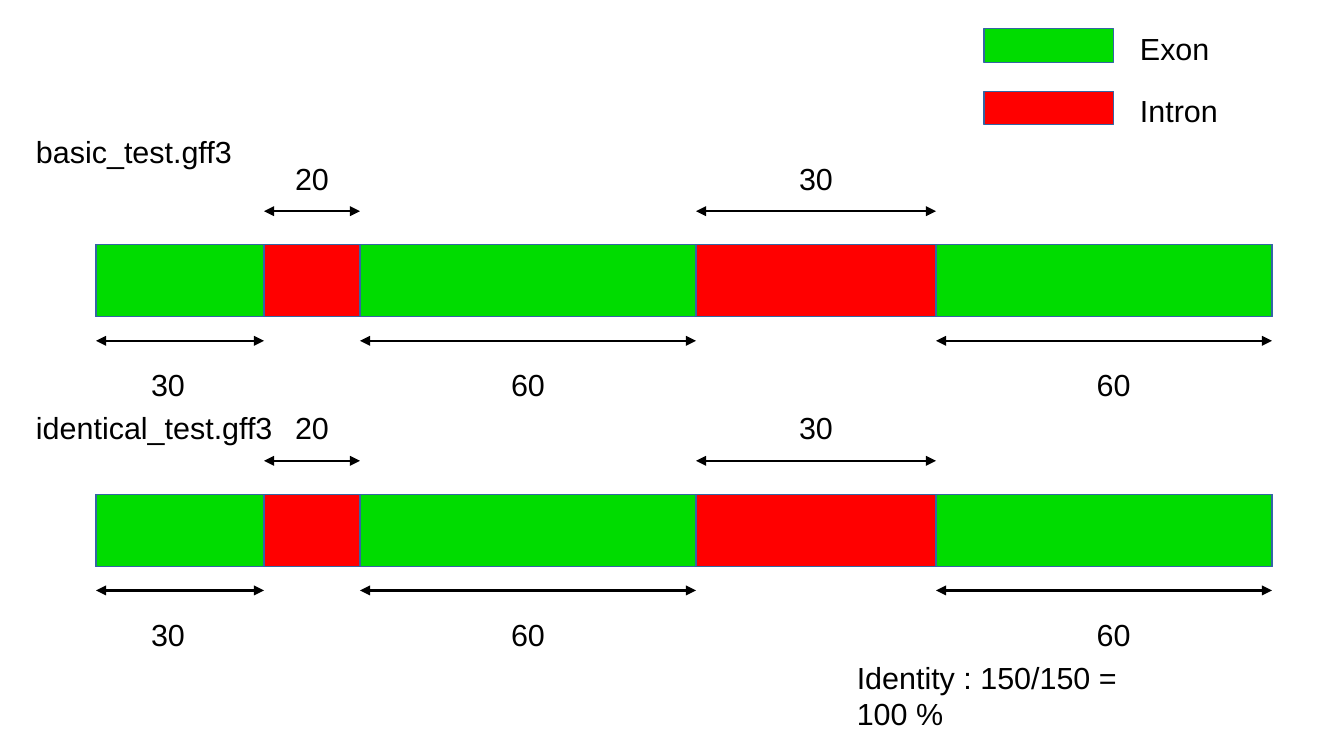
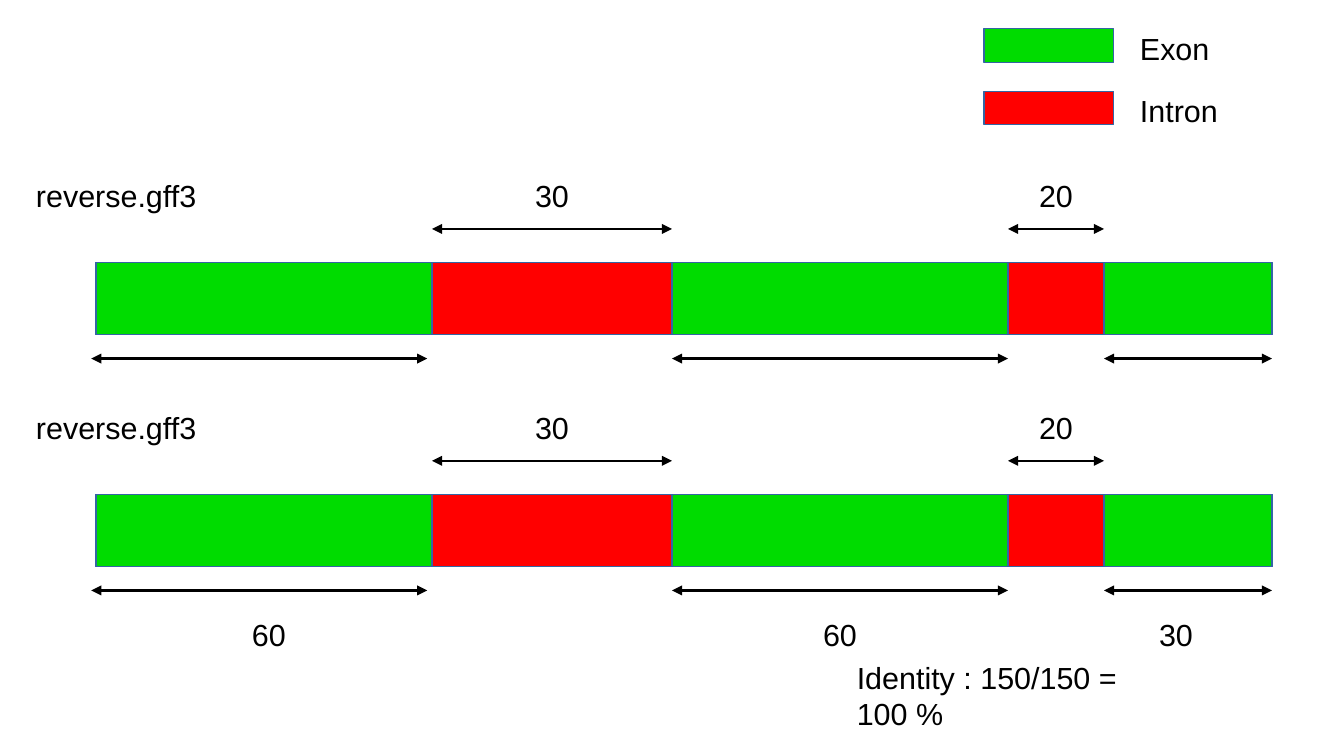
"""Two slides comparing exon and intron layouts of gene annotations."""
from dataclasses import dataclass

from pptx import Presentation
from pptx import util as u
from pptx.dml.color import RGBColor
from pptx.enum import shapes, text
from pptx.oxml.ns import qn
from lxml import etree


@dataclass(frozen=True)
class Theme:
    exon: RGBColor = RGBColor(0x00, 0xDC, 0x00)
    intron: RGBColor = RGBColor(0xFF, 0x00, 0x00)
    outline: RGBColor = RGBColor(0x34, 0x65, 0xA4)
    ink: RGBColor = RGBColor(0x00, 0x00, 0x00)
    font: str = "Arial"
    size: u.Pt = u.Pt(18)
    arrow: u.Pt = u.Pt(1.42)


theme = Theme()
GENE_LEFT, GENE_HEIGHT = 2, 1.5
LABEL_WIDTH, LINE_HEIGHT = 3, 0.96


def add_block(slide, left, top, width, height, color):
    block = slide.shapes.add_shape(
        shapes.MSO_SHAPE.RECTANGLE, u.Cm(left), u.Cm(top), u.Cm(width), u.Cm(height))
    block.shadow.inherit = False
    block.fill.solid()
    block.fill.fore_color.rgb = color
    block.line.color.rgb = theme.outline
    block.line.width = u.Pt(0)


def add_text(slide, left, top, width, wording, align=text.PP_ALIGN.LEFT, height=LINE_HEIGHT):
    frame = slide.shapes.add_textbox(
        u.Cm(left), u.Cm(top), u.Cm(width), u.Cm(height)).text_frame
    frame.word_wrap = True
    frame.auto_size = text.MSO_AUTO_SIZE.SHAPE_TO_FIT_TEXT
    paragraph = frame.paragraphs[0]
    paragraph.alignment = align
    run = paragraph.add_run()
    run.text = wording
    run.font.name = theme.font
    run.font.size = theme.size
    run.font.color.rgb = theme.ink


# Segment: kind, bases, width, label shift, arrow shift
FORWARD = [
    ("exon", "30", 3.5, -0.25, 0),
    ("intron", "20", 2, 0, 0),
    ("exon", "60", 7, 0, 0),
    ("intron", "30", 5, 0, 0),
    ("exon", "60", 7, 0.2, 0),
]
REVERSE = [
    ("exon", "60", 7, 0.1, -0.1),
    ("intron", "30", 5, 0, 0),
    ("exon", "60", 7, 0, 0),
    ("intron", "20", 2, 0, 0),
    ("exon", "30", 3.5, -0.25, 0),
]
# Gene: file name, name top, bar top, whether exon lengths show
COMPARISONS = [
    (FORWARD, [("basic_test.gff3", 2.65, 5.1, True),
               ("identical_test.gff3", 8.4, 10.3, True)]),
    (REVERSE, [("reverse.gff3", 3.57, 5.47, False),
               ("reverse.gff3", 8.4, 10.3, True)]),
]
LEGEND = [("Exon", theme.exon), ("Intron", theme.intron)]

deck = Presentation()
deck.slide_width, deck.slide_height = u.Cm(28), u.Cm(15.75)

for segments, genes in COMPARISONS:
    slide = deck.slides.add_slide(deck.slide_layouts[6])

    for row, (kind_name, color) in enumerate(LEGEND):
        add_block(slide, 20.5, 0.6 + 1.3 * row, 2.7, 0.7, color)
        add_text(slide, 23.5, 0.5 + 1.3 * row, 2.5, kind_name)

    for file_name, name_top, gene_top, exon_lengths in genes:
        gene_width = sum(segment[2] for segment in segments)
        add_block(slide, GENE_LEFT, gene_top, gene_width, GENE_HEIGHT, theme.intron)
        add_text(slide, 0.5, name_top, 7.5, file_name)

        left = GENE_LEFT
        for kind, bases, width, label_shift, arrow_shift in segments:
            is_exon = kind == "exon"
            if is_exon:
                add_block(slide, left, gene_top, width, GENE_HEIGHT, theme.exon)

            span_top = u.Cm(gene_top + (2 if is_exon else -0.7))
            span_left = left + arrow_shift
            span = slide.shapes.add_connector(
                shapes.MSO_CONNECTOR.STRAIGHT,
                u.Cm(span_left), span_top, u.Cm(span_left + width), span_top)
            span.line.color.rgb = theme.ink
            span.line.width = theme.arrow
            outline = span.line._get_or_add_ln()
            for end in ("a:headEnd", "a:tailEnd"):
                etree.SubElement(outline, qn(end), type="triangle")
            etree.SubElement(span._element.spPr, qn("a:effectLst"))

            if exon_lengths or not is_exon:
                label_left = left + (width - LABEL_WIDTH) / 2 + label_shift
                label_top = gene_top + (2.4 if is_exon else -1.9)
                add_text(slide, label_left, label_top, LABEL_WIDTH, bases,
                         text.PP_ALIGN.CENTER)
            left += width

    add_text(slide, 17.6, 13.6, 6, "Identity : 150/150 = 100 %", height=1.68)

deck.save("out.pptx")
